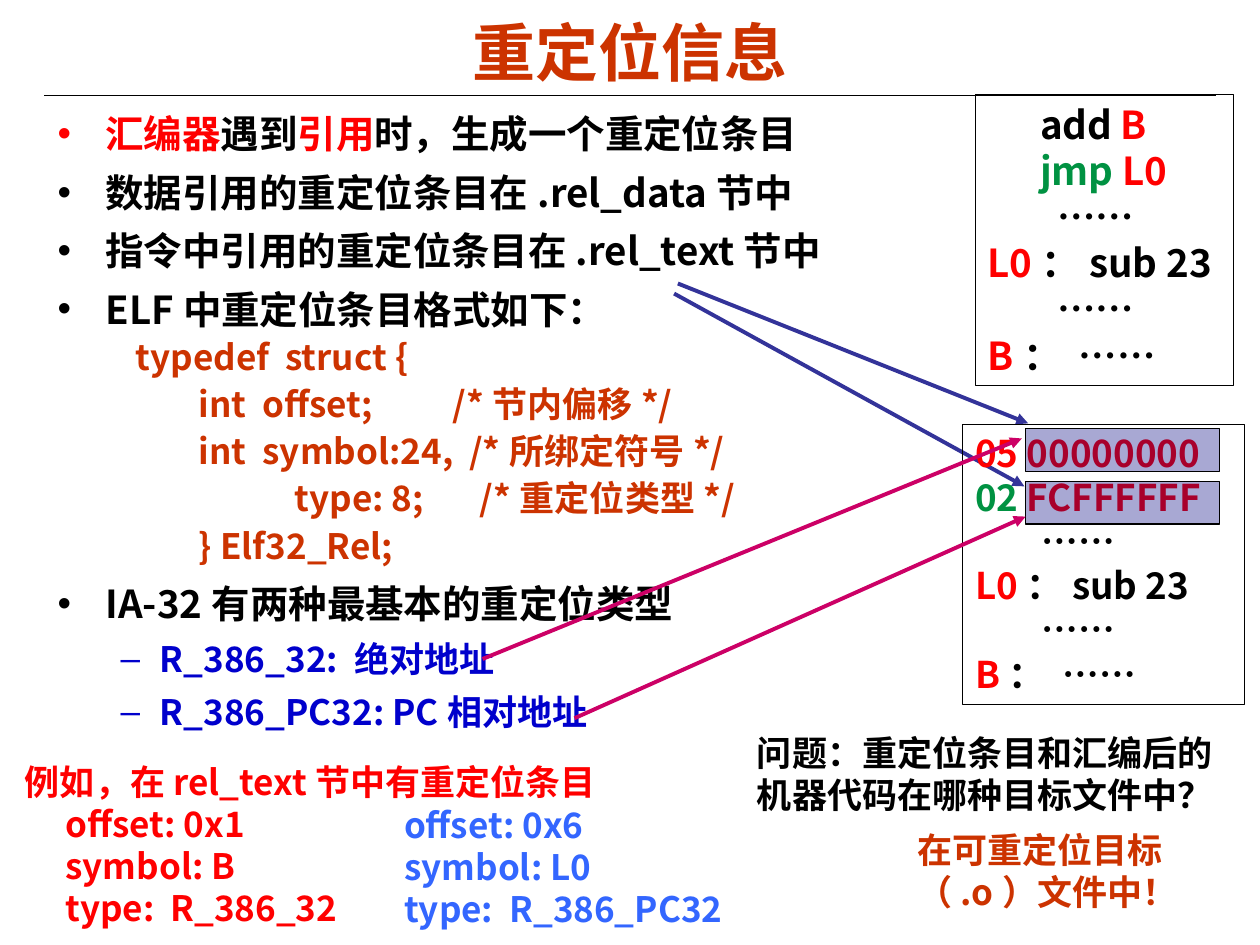
from dataclasses import dataclass

from lxml.etree import SubElement
from pptx import Presentation
from pptx.dml.color import RGBColor
from pptx.enum.shapes import MSO_CONNECTOR as Connector, MSO_SHAPE as Preset
from pptx.enum.text import MSO_ANCHOR as Anchor, PP_ALIGN as Align
from pptx.oxml.ns import qn
from pptx.util import Pt

EMU_PER_PX = 9144  # 100 px to the inch


@dataclass(frozen=True)
class Theme:
    black: str = "000000"
    red: str = "FF0000"
    rust: str = "CC3300"
    green: str = "009242"
    blue: str = "0000CC"
    sky: str = "3366FF"
    indigo: str = "333399"
    magenta: str = "CC0066"
    navy: str = "000080"
    latin: str = "Arial"
    cjk: str = "Noto Sans CJK SC"
    title_size: int = 36
    body_size: int = 22
    machine_size: int = 21
    small_size: int = 20


THEME = Theme()


def px(value):
    return round(value * EMU_PER_PX)


def child(parent, tag, **attributes):
    return SubElement(parent, qn(tag), attributes)


def add_run(paragraph, text, size, color, font):
    run = paragraph.add_run()
    run.text = text
    run.font.size = Pt(size)
    run.font.bold = True
    run.font.name = font
    run.font.color.rgb = RGBColor.from_string(color)
    child(run.font._element, "a:ea", typeface=THEME.cjk)


def write(shape, paragraphs, size=THEME.small_size, color=THEME.black, font=THEME.cjk,
          align=Align.LEFT, anchor=Anchor.TOP, leading=1.2, before=0, indents=(0,),
          hanging=0, bullet=None, tab=None):
    """Fill a shape; a paragraph is a string or a list of (text, color) runs.

    The last of the indents serves all the paragraphs that follow.
    """
    frame = shape.text_frame
    frame.word_wrap = True
    frame.vertical_anchor = anchor
    for index, content in enumerate(paragraphs):
        first = index == 0 and not frame.paragraphs[0].runs
        paragraph = frame.paragraphs[0] if first else frame.add_paragraph()
        paragraph.alignment = align
        paragraph.line_spacing = Pt(round(size * leading, 1))
        paragraph.space_before = Pt(0 if first else size * before)
        properties = paragraph._p.get_or_add_pPr()
        properties.set("marL", str(px(indents[min(index, len(indents) - 1)])))
        properties.set("indent", str(px(-hanging)))
        if bullet:
            child(properties, "a:buFont", typeface=THEME.latin)
            child(properties, "a:buChar", char=bullet)
        if tab:
            child(child(properties, "a:tabLst"), "a:tab", pos=str(px(tab)), algn="l")
        runs = [(content, color)] if isinstance(content, str) else content
        for text, run_color in runs:
            add_run(paragraph, text, size, run_color, font)


def add_text(slide, box, paragraphs, **style):
    shape = slide.shapes.add_textbox(*map(px, box))
    write(shape, paragraphs, **style)
    return shape


def add_rectangle(slide, box, fill=None, opacity=100):
    shape = slide.shapes.add_shape(Preset.RECTANGLE, *map(px, box))
    shape.shadow.inherit = False
    shape.line.color.rgb = RGBColor.from_string(THEME.black)
    shape.line.width = Pt(0.75)
    if fill:
        shape.fill.solid()
        shape.fill.fore_color.rgb = RGBColor.from_string(fill)
        color = shape._element.spPr.find(qn("a:solidFill"))[0]
        child(color, "a:alpha", val=str(opacity * 1000))
    else:
        shape.fill.background()
    return shape


def add_line(slide, start, end, color, width, arrow=False):
    line = slide.shapes.add_connector(Connector.STRAIGHT, *map(px, (*start, *end)))
    line.line.color.rgb = RGBColor.from_string(color)
    line.line.width = Pt(width)
    if arrow:
        child(line.line._get_or_add_ln(), "a:tailEnd", type="triangle")
    child(line._element.spPr, "a:effectLst")


def place_title(slide, box):
    left, top, width, height = box
    add_line(slide, (left - 15, top + 68), (left + width + 15, top + 68), THEME.black, 0.75)
    add_text(slide, box, ["重定位信息"], size=THEME.title_size, color=THEME.rust,
             font=THEME.latin, align=Align.CENTER, anchor=Anchor.MIDDLE, leading=1.3)


def place_body(slide, box):
    left, top, width, height = box
    outline = dict(leading=1.32, before=0.2, bullet="•", indents=(38,), hanging=38,
                   size=THEME.body_size)
    add_text(slide, (left, top, width, 196), [
        [("汇编器", THEME.red), ("遇到", THEME.black), ("引用", THEME.red),
         ("时，生成一个重定位条目", THEME.black)],
        "数据引用的重定位条目在.rel_data节中",
        "指令中引用的重定位条目在.rel_text节中",
        "ELF中重定位条目格式如下：",
    ], **outline)
    kinds = add_text(slide, (left, top + 373, width, height - 373),
                     ["IA-32有两种最基本的重定位类型"], **outline)
    write(kinds, ["R_386_32: 绝对地址", "R_386_PC32: PC相对地址"],
          **{**outline, "size": THEME.small_size, "color": THEME.blue,
             "bullet": "–", "indents": (81,), "hanging": 31})
    add_text(slide, (left + 62, top + 182, 548, 197), [
        "typedef  struct {",
        "\tint  offset;          /*节内偏移*/",
        "  \tint  symbol:24,  /*所绑定符号*/",
        "                    type: 8;       /*重定位类型*/",
        "\t} Elf32_Rel;",
    ], color=THEME.rust, before=0.15, tab=100)


def place_listing(slide, box, instructions, size):
    """Frame two instructions and the labelled lines that follow them."""
    dots = "        ……"
    write(add_rectangle(slide, box), [
        *instructions,
        dots,
        [("L0", THEME.red), ("：sub 23", THEME.black)],
        dots,
        [("B", THEME.red), ("：  ……", THEME.black)],
    ], size=size)


def place_machine_code(slide, box):
    left, top, width, height = box
    place_listing(slide, box, [
        [("05 00000000", THEME.red)],
        [("02 ", THEME.green), ("FCFFFFFF", THEME.red)],
    ], THEME.machine_size)


def place_operand_masks(slide, box):
    left, top, width, height = box
    for offset in (0, 42):
        add_rectangle(slide, (left, top + offset, width, height), THEME.navy, 34)


def place_example(slide, box):
    left, top, width, height = box
    add_text(slide, (left, top, 476, height), [
        "例如，在rel_text节中有重定位条目", "offset: 0x1", "symbol: B", "type:  R_386_32",
    ], color=THEME.red, indents=(0, 32))
    add_text(slide, (left + 301, top + 34, 406, height - 33), [
        "offset: 0x6", "symbol: L0", "type:  R_386_PC32",
    ], color=THEME.sky)


def place_question(slide, box):
    left, top, width, height = box
    add_text(slide, (left, top, width, 77),
             ["问题：重定位条目和汇编后的机器代码在哪种目标文件中？"], font=THEME.latin)
    add_text(slide, (left + 127, top + 77, 236, 77),
             ["在可重定位目标（.o）文件中！"], color=THEME.rust)


def main():
    presentation = Presentation()
    presentation.slide_width, presentation.slide_height = px(1000), px(750)
    slide = presentation.slides.add_slide(presentation.slide_layouts[6])
    place_title(slide, (50, 8, 900, 61))
    place_body(slide, (36, 79, 932, 545))
    place_listing(slide, (774, 75, 205, 231), [
        [("      add ", THEME.black), ("B", THEME.red)],
        [("      jmp ", THEME.green), ("L0", THEME.red)],
    ], THEME.body_size)
    for start, end in (((535, 233), (813, 386)), ((538, 225), (816, 336))):
        add_line(slide, start, end, THEME.indigo, 2.25, arrow=True)
    place_machine_code(slide, (764, 337, 224, 222))
    place_operand_masks(slide, (814, 340, 154, 34))
    for start, end in (((383, 523), (811, 348)), ((456, 570), (814, 410))):
        add_line(slide, start, end, THEME.magenta, 2.25, arrow=True)
    place_example(slide, (10, 599, 707, 143))
    place_question(slide, (591, 576, 403, 154))
    presentation.save("out.pptx")


if __name__ == "__main__":
    main()
